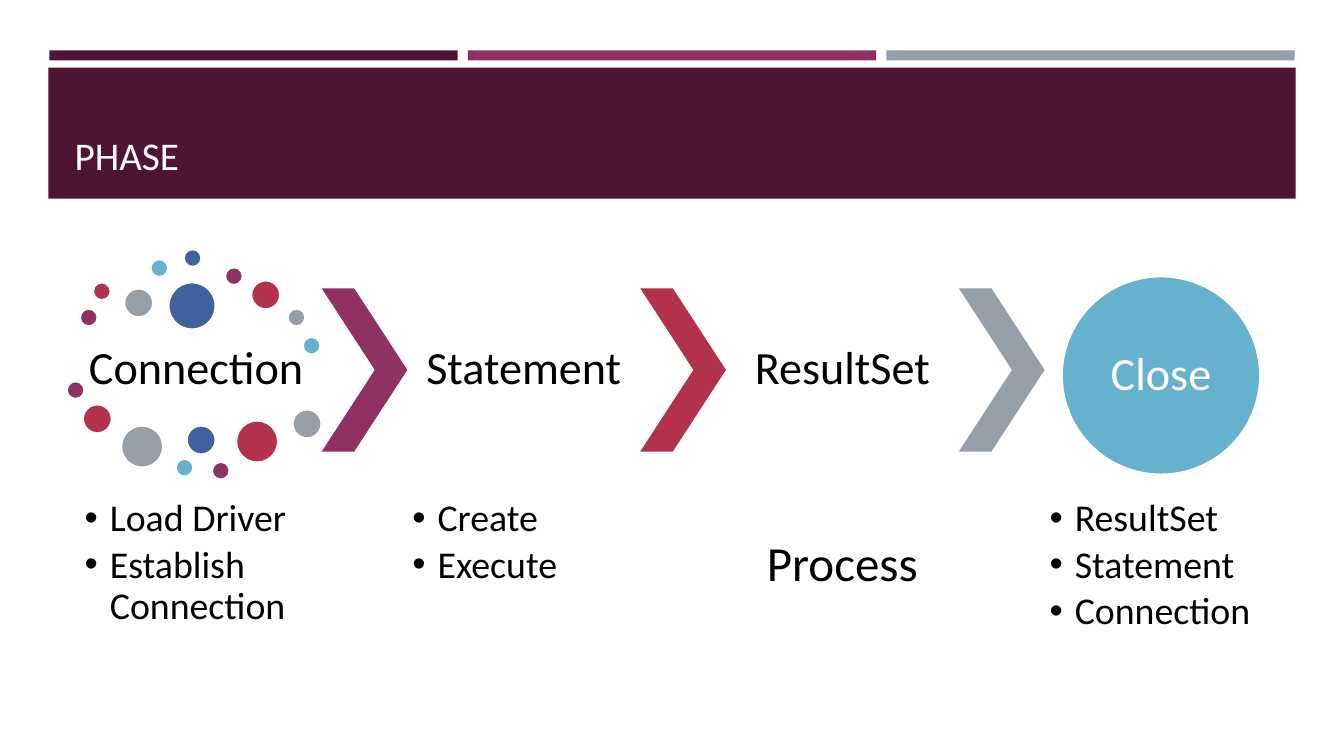
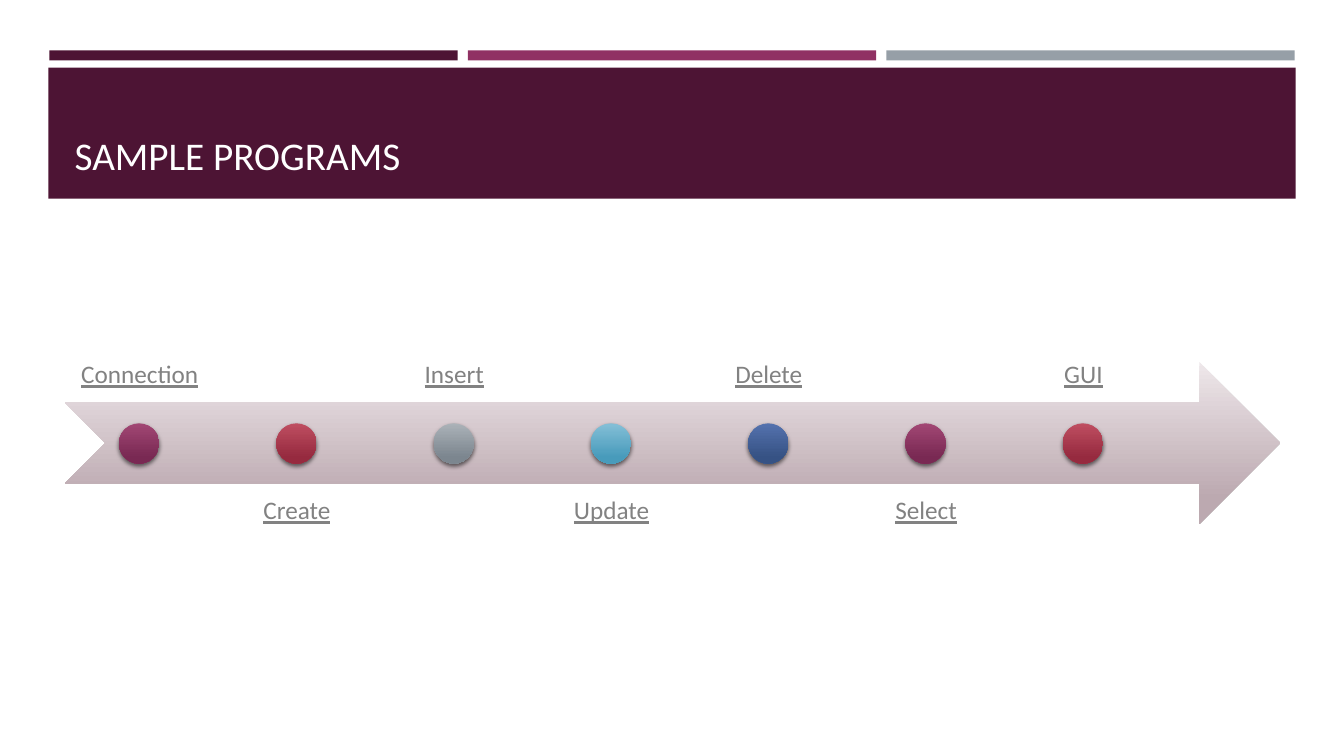
"""Build two slides: the phases of database access and a timeline of sample programs."""
import lxml.etree
import pptx
import pptx.dml.color
import pptx.enum.shapes
import pptx.enum.text
import pptx.oxml
import pptx.oxml.ns
import pptx.util

RGB = pptx.dml.color.RGBColor
SHAPE = pptx.enum.shapes.MSO_SHAPE
ALIGN = pptx.enum.text.PP_ALIGN
ANCHOR = pptx.enum.text.MSO_ANCHOR
Inches = pptx.util.Inches
Pt = pptx.util.Pt
qn = pptx.oxml.ns.qn

WHITE = RGB(0xFF, 0xFF, 0xFF)
BLACK = RGB(0x00, 0x00, 0x00)
LABEL_GRAY = RGB(0x82, 0x82, 0x82)
WINE = RGB(0x4D, 0x14, 0x34)
PLUM = RGB(0x90, 0x31, 0x63)
RED = RGB(0xB2, 0x32, 0x4B)
GRAY = RGB(0x96, 0x9F, 0xA7)
SKY = RGB(0x66, 0xB1, 0xCE)
BLUE = RGB(0x40, 0x61, 0x9D)
PALETTE = [PLUM, RED, GRAY, SKY, BLUE]
ARROW_SHADES = RGB(0xEE, 0xE7, 0xEA), RGB(0xBC, 0xA9, 0xB0)
DOT_SHADES = [
    (RGB(0xA2, 0x47, 0x74), RGB(0x79, 0x29, 0x53)),
    (RGB(0xBF, 0x4E, 0x61), RGB(0x96, 0x2A, 0x3F)),
    (RGB(0xAB, 0xB2, 0xB8), RGB(0x7C, 0x86, 0x8F)),
    (RGB(0x84, 0xBF, 0xD7), RGB(0x48, 0x9B, 0xBB)),
    (RGB(0x54, 0x72, 0xAE), RGB(0x36, 0x52, 0x84)),
]
SHADOW = (
    '<a:effectLst xmlns:a="http://schemas.openxmlformats.org/drawingml/2006/main">'
    '<a:outerShdw blurRad="38100" dist="25400" dir="5400000" rotWithShape="0">'
    '<a:srgbClr val="000000"><a:alpha val="55000"/></a:srgbClr>'
    '</a:outerShdw></a:effectLst>'
)


def draw(page, kind, bounds, colors, outline=None):
    """Add a preset shape with a solid fill or a downward gradient of two colors."""
    shape = page.shapes.add_shape(kind, *map(Inches, bounds))
    shape.shadow.inherit = False
    if len(colors) == 1:
        shape.fill.solid()
        shape.fill.fore_color.rgb = colors[0]
    else:
        shape.fill.gradient()
        shape.fill.gradient_angle = 270
        for stop, color, position in zip(shape.fill.gradient_stops, colors, (0, 0.84)):
            stop.color.rgb = color
            stop.position = position
    if outline is None:
        shape.line.fill.background()
    else:
        shape.line.color.rgb = outline
        shape.line.width = Pt(1.75)
    return shape


def write(box, lines, size, color, anchor=ANCHOR.MIDDLE, align=ALIGN.CENTER, inset=0.05):
    """Fill a box with paragraphs in one style."""
    frame = box.text_frame
    frame.word_wrap = True
    frame.auto_size = pptx.enum.text.MSO_AUTO_SIZE.NONE
    frame.vertical_anchor = anchor
    frame.margin_left = frame.margin_right = Inches(inset)
    frame.margin_top = frame.margin_bottom = Inches(inset)
    frame.text = "\n".join(lines)
    for para in frame.paragraphs:
        para.alignment = align
        para.line_spacing = 0.9
        para.space_before = Pt(0)
        para.font.name = "Calibri"
        para.font.size = Pt(size)
        para.font.bold = False
        para.font.color.rgb = color
    return frame.paragraphs


deck = pptx.Presentation()
deck.slide_width = Inches(13.33)
deck.slide_height = Inches(7.5)
phase_page = deck.slides.add_slide(deck.slide_layouts.get_by_name("Comparison"))
sample_page = deck.slides.add_slide(deck.slide_layouts.get_by_name("Title Only"))

bands = [
    draw(phase_page, SHAPE.RECTANGLE, (0.49 + 4.15 * column, 0.5, 4.05, 0.1), [color])
    for column, color in enumerate([WINE, PLUM, GRAY])
]
bands.append(draw(phase_page, SHAPE.RECTANGLE, (0.48, 0.67, 12.37, 1.3), [WINE]))
for band in bands:
    deck.slide_master.shapes.element.insert(2, band.element)

for page, heading in [(phase_page, "PHASE"), (sample_page, "SAMPLE PROGRAMS")]:
    title = page.shapes.title
    title.left, title.top, title.width, title.height = map(Inches, (0.64, 0.77, 12.06, 1.11))
    write(title, [heading], 28, WHITE, ANCHOR.BOTTOM, ALIGN.LEFT, inset=0.1)

COLUMN, STEP_WIDTH, CHEVRON_WIDTH = 3.16, 2.31, 0.85
STEP_TOP, STEP_HEIGHT = 2.86, 1.62
step_lefts = [0.79] + [0.88 + COLUMN * column for column in (1, 2, 3)]
details = [
    ["Load Driver", "Establish Connection"],
    ["Create", "Execute"],
    ["Process"],
    ["ResultSet", "Statement", "Connection"],
]
bodies = [holder for holder in phase_page.placeholders if holder.placeholder_format.idx > 0]
for body, left, lines in zip(bodies, step_lefts, details):
    body.left, body.top, body.width, body.height = map(Inches, (left, 4.9, STEP_WIDTH, 1.43))
    listed = len(lines) > 1
    if listed:
        paras = write(body, lines, 27, BLACK, ANCHOR.TOP, ALIGN.LEFT)
    else:
        paras = write(body, lines, 35, BLACK)
    for para in paras:
        properties = para._p.get_or_add_pPr()
        properties.set("marL", str(Inches(0.25 * listed)))
        properties.set("indent", str(Inches(-0.25 * listed)))
        if listed:
            para.space_after = Pt(4)
            lxml.etree.SubElement(properties, qn("a:buFont")).set("typeface", "Arial")
            lxml.etree.SubElement(properties, qn("a:buChar")).set("char", "•")
            properties.append(properties.find(qn("a:defRPr")))
        else:
            properties.find(qn("a:defRPr")).addprevious(
                lxml.etree.SubElement(properties, qn("a:buNone")))

SMALL, MEDIUM, LARGE, CENTER = 0.18, 0.29, 0.42, 0.47
bubbles = [
    (0.79, 3.06, SMALL), (0.92, 2.8, SMALL), (1.23, 2.86, MEDIUM),
    (1.49, 2.57, SMALL), (1.82, 2.47, SMALL), (2.23, 2.65, SMALL),
    (2.49, 2.78, MEDIUM), (2.85, 3.06, SMALL), (3, 3.34, SMALL),
    (1.67, 2.8, CENTER), (0.66, 3.78, SMALL), (0.82, 4.01, MEDIUM),
    (1.2, 4.22, LARGE), (1.74, 4.55, SMALL), (1.85, 4.22, MEDIUM),
    (2.1, 4.58, SMALL), (2.34, 4.17, LARGE), (2.9, 4.06, MEDIUM),
]
for number, (left, top, size) in enumerate(bubbles):
    color = PALETTE[number % len(PALETTE)]
    draw(phase_page, SHAPE.OVAL, (left, top, size, size), [color], WHITE)

step_rows = [(3.29, 0.76), (STEP_TOP, STEP_HEIGHT), (STEP_TOP, STEP_HEIGHT)]
for name, left, (top, height) in zip(["Connection", "Statement", "ResultSet"], step_lefts, step_rows):
    box = phase_page.shapes.add_textbox(*map(Inches, (left, top, STEP_WIDTH, height)))
    write(box, [name], 33, BLACK)
for left, color in zip(step_lefts[1:], PALETTE):
    bounds = left - CHEVRON_WIDTH, STEP_TOP, CHEVRON_WIDTH, STEP_HEIGHT
    chevron = draw(phase_page, SHAPE.CHEVRON, bounds, [color])
    chevron.adjustments[0] = 0.62
close = draw(phase_page, SHAPE.OVAL, (10.53, 2.74, 1.97, 1.97), [SKY], WHITE)
write(close, ["Close"], 33, WHITE, inset=0)

draw(sample_page, SHAPE.NOTCHED_RIGHT_ARROW, (0.64, 3.59, 12.06, 1.61), ARROW_SHADES)
programs = ["Connection", "Create", "Insert", "Update", "Delete", "Select", "GUI"]
for number, name in enumerate(programs):
    left = 0.64 + 1.56 * number
    below = number % 2 == 1
    label = sample_page.shapes.add_textbox(
        *map(Inches, (left, 4.8 if below else 2.39, 1.49, 1.61)))
    anchor = ANCHOR.TOP if below else ANCHOR.BOTTOM
    for para in write(label, [name], 18, LABEL_GRAY, anchor, inset=0.14):
        para.runs[0].font.underline = True
    shades = DOT_SHADES[number % len(DOT_SHADES)]
    dot = draw(sample_page, SHAPE.OVAL, (left + 0.54, 4.2, 0.4, 0.4), shades)
    effects = dot.element.spPr.find(qn("a:effectLst"))
    effects.getparent().replace(effects, pptx.oxml.parse_xml(SHADOW))

deck.save("out.pptx")
